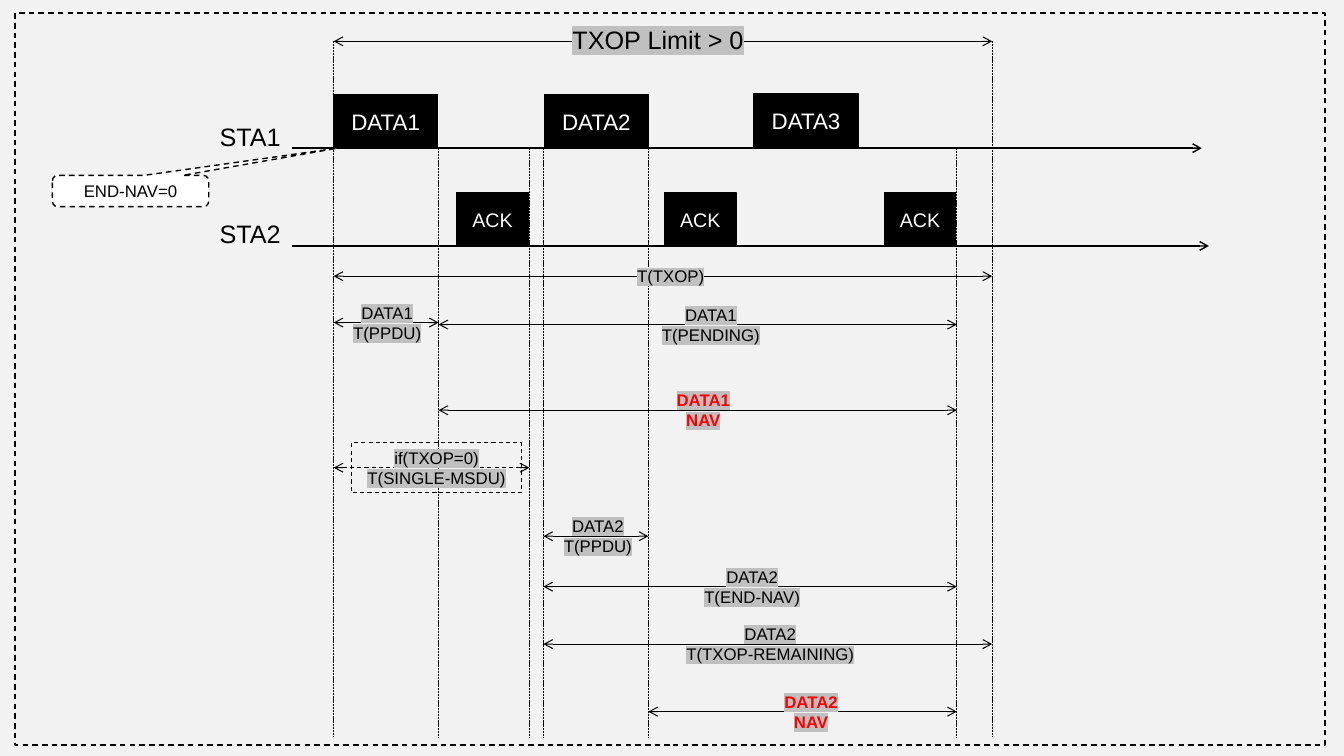
import pptx
import pptx.dml.color
import pptx.enum.dml
import pptx.enum.shapes
import pptx.enum.text
import pptx.oxml
import pptx.oxml.ns
import pptx.util

Inches = pptx.util.Inches
Pt = pptx.util.Pt
RGBColor = pptx.dml.color.RGBColor
SHAPE = pptx.enum.shapes.MSO_SHAPE
DASH = pptx.enum.dml.MSO_LINE.DASH
SYS_DASH = pptx.enum.dml.MSO_LINE.SQUARE_DOT
LEFT = pptx.enum.text.PP_ALIGN.LEFT
CENTER = pptx.enum.text.PP_ALIGN.CENTER

BLACK = RGBColor(0x00, 0x00, 0x00)
WHITE = RGBColor(0xFF, 0xFF, 0xFF)
RED = RGBColor(0xFF, 0x00, 0x00)
GREY = RGBColor(0xF2, 0xF2, 0xF2)
HIGHLIGHT = RGBColor(0xC0, 0xC0, 0xC0)

# Instants on the time axis, in inches from the left
TXOP_START, DATA1_END, ACK1_END = 3.31, 4.35, 5.25
DATA2_START, DATA2_END, ACK3_END, TXOP_END = 5.39, 6.43, 9.49, 9.84
STA1_Y, STA2_Y, LIMIT_Y, BOTTOM = 1.47, 2.44, 0.41, 7.31
BLOCK_HEIGHT = 0.53


def write(shape, lines, size, color=BLACK, align=CENTER, highlight=False, bold=False):
    frame = shape.text_frame
    for index, line in enumerate(lines):
        paragraph = frame.add_paragraph() if index else frame.paragraphs[0]
        paragraph.alignment = align
        run = paragraph.add_run()
        run.text = line
        run.font.size = Pt(size)
        run.font.name = "Arial"
        run.font.bold = bold
        run.font.color.rgb = color
        if highlight:
            fill = run.font._element.find(pptx.oxml.ns.qn("a:solidFill"))
            fill.addnext(pptx.oxml.parse_xml(
                f'<a:highlight {pptx.oxml.ns.nsdecls("a")}>'
                f'<a:srgbClr val="{HIGHLIGHT}"/></a:highlight>'))


def draw_line(shapes, start, end, width, dash=None, arrows=()):
    """Draw a black line; arrows lists its pointed ends, headEnd before tailEnd."""
    line = shapes.add_connector(
        pptx.enum.shapes.MSO_CONNECTOR.STRAIGHT, *map(Inches, start + end))
    line.line.color.rgb = BLACK
    line.line.width = Pt(width)
    if dash:
        line.line.dash_style = dash
    outline = line.line._get_or_add_ln()
    for tip in arrows:
        pptx.oxml.ns.qn("a:" + tip)
        outline.append(pptx.oxml.parse_xml(
            f'<a:{tip} {pptx.oxml.ns.nsdecls("a")} type="arrow"/>'))
    outline.addnext(pptx.oxml.parse_xml(
        f'<a:effectLst {pptx.oxml.ns.nsdecls("a")}/>'))


presentation = pptx.Presentation()
presentation.slide_width = Inches(13.33)
presentation.slide_height = Inches(7.5)
slide = presentation.slides.add_slide(presentation.slide_layouts[6])
slide.background.fill.solid()
slide.background.fill.fore_color.rgb = GREY

frame = slide.shapes.add_shape(
    SHAPE.RECTANGLE, Inches(0.15), Inches(0.13), Inches(12.99), Inches(7.26))
frame.shadow.inherit = False
frame.fill.background()
frame.line.color.rgb = BLACK
frame.line.width = Pt(1)
frame.line.dash_style = DASH

# Dotted guides mark the instants
for instant in (TXOP_START, DATA1_END, ACK1_END, DATA2_START, DATA2_END,
                ACK3_END, TXOP_END):
    top = LIMIT_Y if instant in (TXOP_START, TXOP_END) else STA1_Y
    draw_line(slide.shapes, (instant, top), (instant, BOTTOM), 0.5, SYS_DASH)

# Station axes
for station, axis_y, axis_end in (("STA1", STA1_Y, 11.92), ("STA2", STA2_Y, 11.99)):
    draw_line(slide.shapes, (2.9, axis_y), (axis_end, axis_y), 1, arrows=("tailEnd",))
    name = slide.shapes.add_textbox(
        Inches(2.08), Inches(axis_y - 0.32), Inches(0.81), Inches(0.4))
    name.text_frame.word_wrap = False
    write(name, [station], 18, align=LEFT)

# Transmitted blocks stand on the axes
for text, left, width, axis_y, size in (
    ("DATA1", 3.31, 1.03, STA1_Y, 16),
    ("DATA2", 5.4, 1.03, STA1_Y, 16),
    ("DATA3", 7.48, 1.03, STA1_Y - 0.01, 16),
    ("ACK", 4.53, 0.71, STA2_Y, 14),
    ("ACK", 6.59, 0.71, STA2_Y, 14),
    ("ACK", 8.77, 0.71, STA2_Y, 14),
):
    block = slide.shapes.add_shape(
        SHAPE.RECTANGLE, Inches(left), Inches(axis_y - BLOCK_HEIGHT),
        Inches(width), Inches(BLOCK_HEIGHT))
    block.shadow.inherit = False
    block.fill.solid()
    block.fill.fore_color.rgb = BLACK
    block.line.color.rgb = BLACK
    block.line.width = Pt(1)
    write(block, [text], size, WHITE)

draw_line(slide.shapes, (TXOP_START, LIMIT_Y), (TXOP_END, LIMIT_Y), 0.75,
          arrows=("headEnd", "tailEnd"))
limit = slide.shapes.add_textbox(Inches(5.58), Inches(0.19), Inches(1.9), Inches(0.4))
limit.text_frame.word_wrap = False
write(limit, ["TXOP Limit > 0"], 18, align=LEFT, highlight=True)

# Durations: start, end, y, label left, label width, label lines
for start, end, y, left, width, lines in (
    (TXOP_START, TXOP_END, 2.74, 6.22, 1.13, ["T(TXOP)"]),
    (TXOP_START, DATA1_END, 3.2, 3.39, 0.9, ["DATA1", "T(PPDU)"]),
    (DATA1_END, ACK3_END, 3.22, 6.19, 1.72, ["DATA1", "T(PENDING)"]),
    (DATA1_END, ACK3_END, 4.07, 6.53, 0.89, ["DATA1", "NAV"]),
    (TXOP_START, ACK1_END, 4.64, 3.49, 1.68, ["if(TXOP=0)", "T(SINGLE-MSDU)"]),
    (DATA2_START, DATA2_END, 5.32, 5.48, 0.9, ["DATA2", "T(PPDU)"]),
    (DATA2_START, ACK3_END, 5.82, 6.52, 1.88, ["DATA2", "T(END-NAV)"]),
    (DATA2_START, TXOP_END, 6.39, 6.62, 2.04, ["DATA2", "T(TXOP-REMAINING)"]),
    (DATA2_END, ACK3_END, 7.06, 7.31, 1.47, ["DATA2", "NAV"]),
):
    is_nav = lines[-1] == "NAV"
    is_condition = lines[0].startswith("if")
    height = 0.1 + 0.2 * len(lines)
    duration = slide.shapes.add_group_shape()
    draw_line(duration.shapes, (start, y), (end, y), 0.75,
              DASH if is_condition else None, ("headEnd", "tailEnd"))
    label = duration.shapes.add_textbox(
        Inches(left), Inches(y - height / 2), Inches(width), Inches(height))
    label.text_frame.word_wrap = True
    if is_condition:
        label.line.color.rgb = BLACK
        label.line.width = Pt(0.75)
        label.line.dash_style = DASH
    write(label, lines, 12, RED if is_nav else BLACK,
          CENTER if len(lines) > 1 else LEFT, highlight=True, bold=is_nav)

end_nav = slide.shapes.add_shape(
    SHAPE.ROUNDED_RECTANGULAR_CALLOUT,
    Inches(0.52), Inches(1.74), Inches(1.55), Inches(0.31))
end_nav.adjustments[0] = 1.32
end_nav.adjustments[1] = -1.37
end_nav.adjustments[2] = 0.17
end_nav.shadow.inherit = False
end_nav.fill.solid()
end_nav.fill.fore_color.rgb = WHITE
end_nav.line.color.rgb = BLACK
end_nav.line.width = Pt(1)
end_nav.line.dash_style = DASH
write(end_nav, ["END-NAV=0"], 12)

presentation.save("out.pptx")
